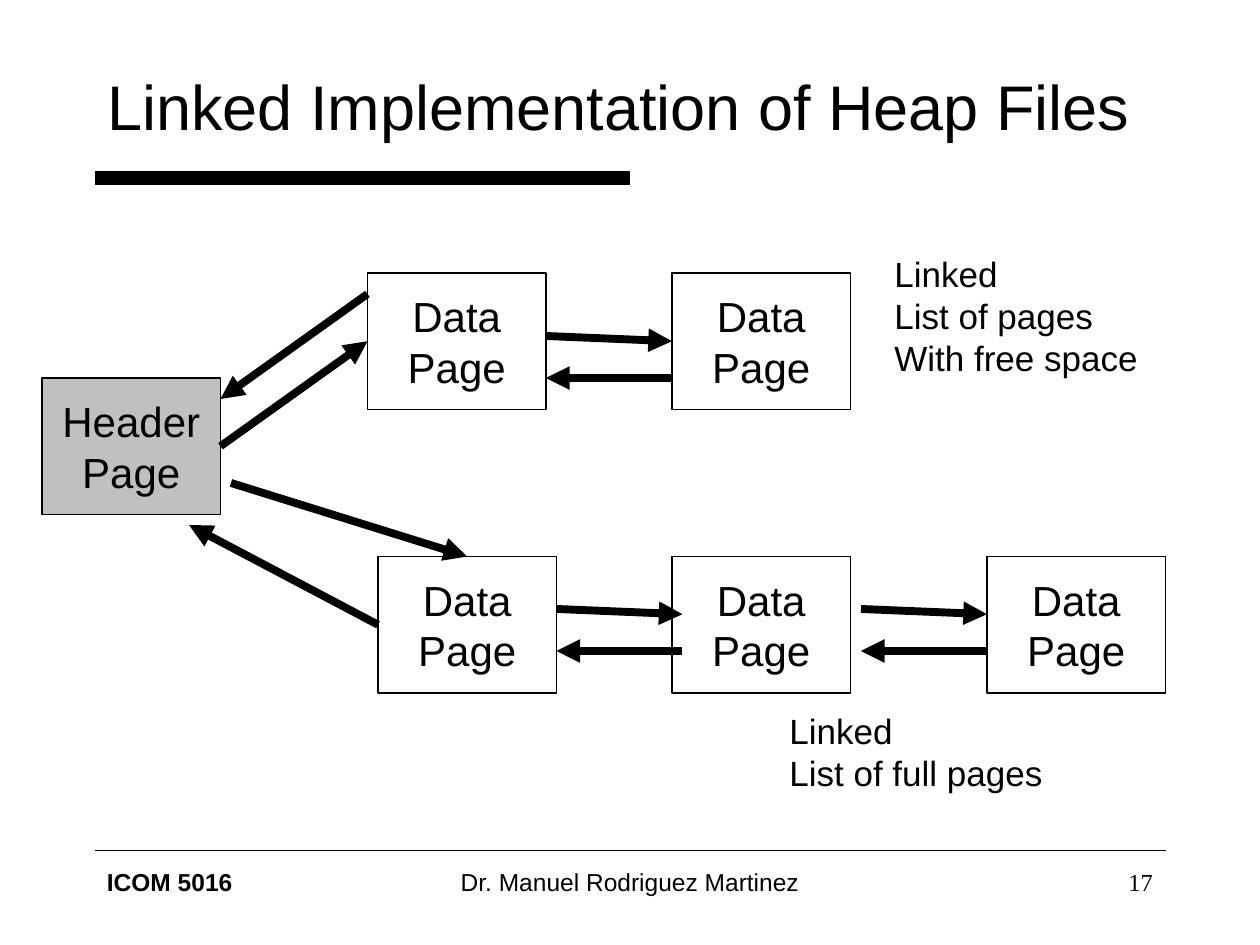
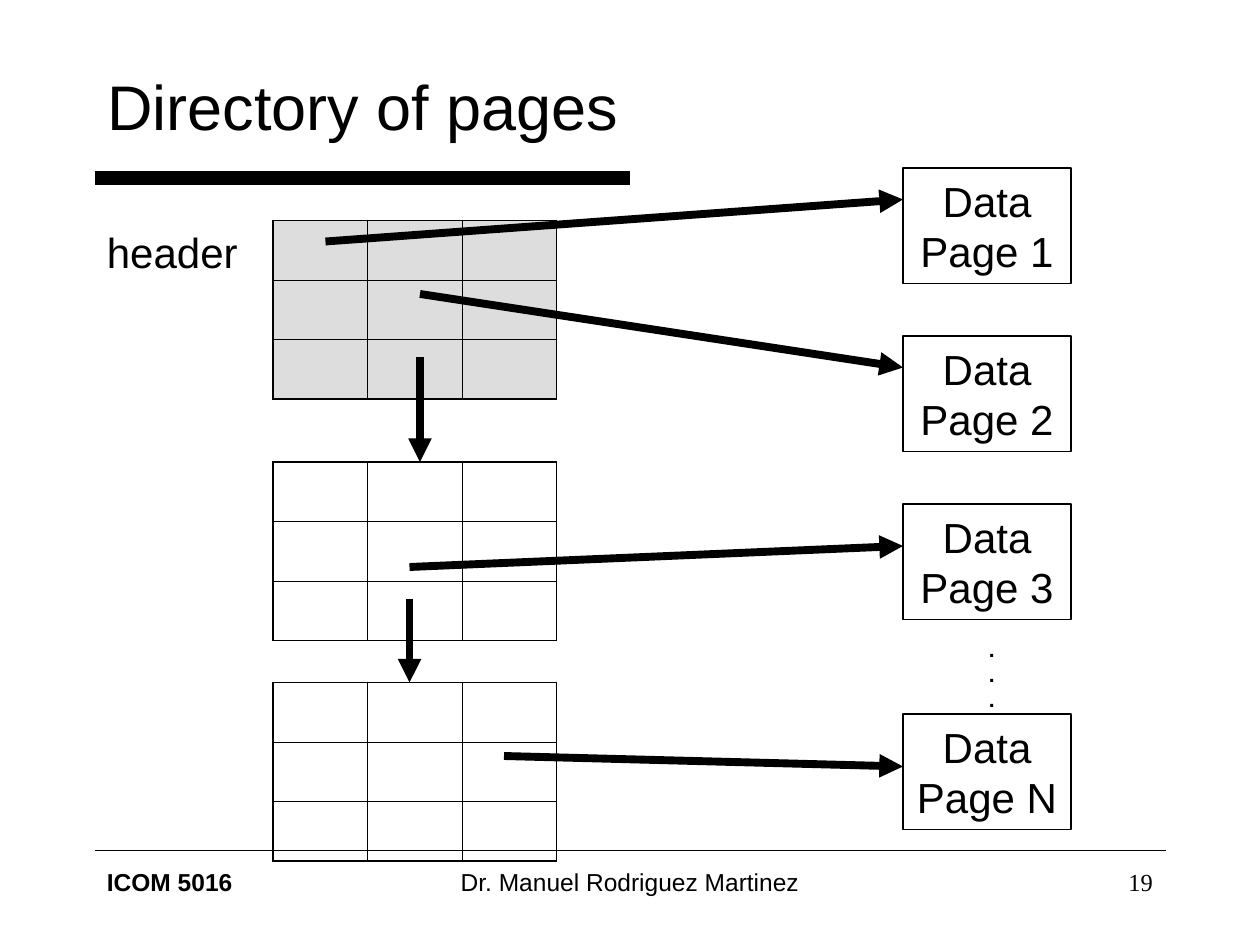
import pptx
import pptx.util
import pptx.dml.color
import pptx.enum.shapes
import pptx.enum.text
import pptx.oxml
import pptx.oxml.ns
import lxml.etree

COLORS = {"ink": "000000", "paper": "FFFFFF", "header": "C0C0C0", "directory": "DDDDDD"}
RGB = {name: pptx.dml.color.RGBColor.from_string(c) for name, c in COLORS.items()}
ALIGN = {name[0].lower(): getattr(pptx.enum.text.PP_ALIGN, name)
         for name in ("LEFT", "CENTER", "RIGHT")}
ANCHOR = pptx.enum.text.MSO_ANCHOR
qn = pptx.oxml.ns.qn

prs = pptx.Presentation()
prs.slide_width = pptx.util.Inches(10)
prs.slide_height = pptx.util.Inches(7.5)
U = prs.slide_width // 120  # grid: 120 columns by 90 rows


def write(s, text, x, y, w, h, fill=None, sp=None, size=24, font="Arial",
          bold=False, align="l", anchor=ANCHOR.TOP, wrap=True):
    """Put text in a box of the grid: a placeholder, a filled rectangle or a text box."""
    box = [int(v * U) for v in (x, y, w, h)]
    if sp is not None:
        sp.left, sp.top, sp.width, sp.height = box
    elif fill:
        sp = s.shapes.add_shape(pptx.enum.shapes.MSO_SHAPE.RECTANGLE, *box)
        sp.shadow.inherit = False
        sp.fill.solid()
        sp.fill.fore_color.rgb = RGB[fill]
        sp.line.color.rgb = RGB["ink"]
        sp.line.width = pptx.util.Pt(0.75)
    else:
        sp = s.shapes.add_textbox(*box)
    tf = sp.text_frame
    tf.text = text
    tf.word_wrap = wrap
    tf.auto_size = pptx.enum.text.MSO_AUTO_SIZE.NONE
    tf.vertical_anchor = anchor
    for p in tf.paragraphs:
        p.alignment = ALIGN[align]
        for r in p.runs:
            r.font.name, r.font.size, r.font.bold = font, pptx.util.Pt(size), bold
            r.font.color.rgb = RGB["ink"]
    return sp


def line(s, x1, y1, x2, y2, width=4.5, arrow=True):
    """Draw a straight line on the grid, with an arrowhead at its end."""
    c = s.shapes.add_connector(pptx.enum.shapes.MSO_CONNECTOR.STRAIGHT,
                               *[int(v * U) for v in (x1, y1, x2, y2)])
    c.line.color.rgb = RGB["ink"]
    c.line.width = pptx.util.Pt(width)
    if arrow:
        lxml.etree.SubElement(c.line._get_or_add_ln(), qn("a:tailEnd"), type="triangle")
    lxml.etree.SubElement(c._element.spPr, qn("a:effectLst"))
    return c


# Shared frame: title, rules and footer
slides = []
for title, number in (("Linked Implementation of Heap Files", "17"),
                      ("Directory of pages", "19")):
    s = prs.slides.add_slide(prs.slide_layouts[5])
    write(s, title, 9, 4, 102, 12, sp=s.shapes.title, size=36, anchor=ANCHOR.MIDDLE)
    line(s, 9, 17, 60, 17, width=8, arrow=False)
    line(s, 9, 81, 111, 81, width=1, arrow=False)
    write(s, "ICOM 5016", 9, 82, 25, 6, size=14, bold=True)
    write(s, "Dr. Manuel Rodriguez Martinez", 41, 82, 38, 6, size=14, align="c")
    write(s, number, 86, 82, 25, 6, size=14, font="Times New Roman", align="r")
    slides.append(s)

page_format = dict(align="c", anchor=ANCHOR.MIDDLE, wrap=False)

# Slide 1: header page and two linked lists
s = slides[0]
header = write(s, "Header\nPage", 4, 36, 17, 13, fill="header", **page_format)
free1, full1, free2, full2, full3 = [
    write(s, "Data\nPage", x, y, 17, 13, fill="paper", **page_format)
    for x, y in ((35, 26), (36, 53), (64, 26), (64, 53), (94, 53))]

c = line(s, 21, 42.5, 35, 32.5)
c.begin_connect(header, 3)
c.end_connect(free1, 1)
line(s, 52, 32, 64, 32.5).end_connect(free2, 1)
line(s, 22, 46, 44.5, 53).end_connect(full1, 0)
line(s, 36, 59.5, 18, 50).begin_connect(full1, 1)
line(s, 35, 28, 21, 38)
line(s, 64, 36, 52, 36)
for x in (53, 82):
    line(s, x, 58, x + 12, 58.5)
    line(s, x + 12, 62, x, 62)

write(s, "Linked\nList of pages\nWith free space", 84, 23.5, 35, 13.2, size=20)
write(s, "Linked\nList of full pages", 74, 67, 35, 9.2, size=20)

# Slide 2: directory blocks, each a 3 by 3 table
s = slides[1]
N, CELL_W, CELL_H = 3, 9, 17 / 3
for y, fill in ((21, "directory"), (44, None), (65, None)):
    table = s.shapes.add_table(N, N, 26 * U, y * U, N * CELL_W * U, int(N * CELL_H * U)).table
    table.first_row = table.horz_banding = False
    for i in range(N):
        table.columns[i].width = CELL_W * U
        table.rows[i].height = int(CELL_H * U)
    for row in range(N):
        for col in range(N):
            cell = table.cell(row, col)
            tcPr = cell._tc.get_or_add_tcPr()
            outer = {"L": col == 0, "R": col == N - 1, "T": row == 0, "B": row == N - 1}
            for side, is_outer in outer.items():
                width = pptx.util.Pt(1.08 if is_outer else 0.45)
                ln = lxml.etree.SubElement(tcPr, qn("a:ln" + side), w=str(width))
                solid = lxml.etree.SubElement(ln, qn("a:solidFill"))
                lxml.etree.SubElement(solid, qn("a:srgbClr"), val=COLORS["ink"])
            if fill:
                cell.fill.solid()
                cell.fill.fore_color.rgb = RGB[fill]
            else:
                cell.fill.background()

# Data pages
for label, y in (("1", 16), ("2", 32), ("3", 48), ("N", 68)):
    write(s, "Data\nPage " + label, 86, y, 16, 11, fill="paper", **page_format)
write(s, ".\n.\n.", 93, 60, 2.9, 8.4, size=12, bold=True, wrap=False)
write(s, "header", 9, 21, 14.9, 6, wrap=False)

# Links between blocks, then from entries to pages
for x1, y1, x2, y2 in ((40, 34, 40, 44), (39, 57, 39, 65),
                       (31, 23, 86, 19), (40, 28, 86, 35),
                       (39, 54, 86, 52), (48, 72, 86, 73)):
    line(s, x1, y1, x2, y2)

prs.save("out.pptx")
